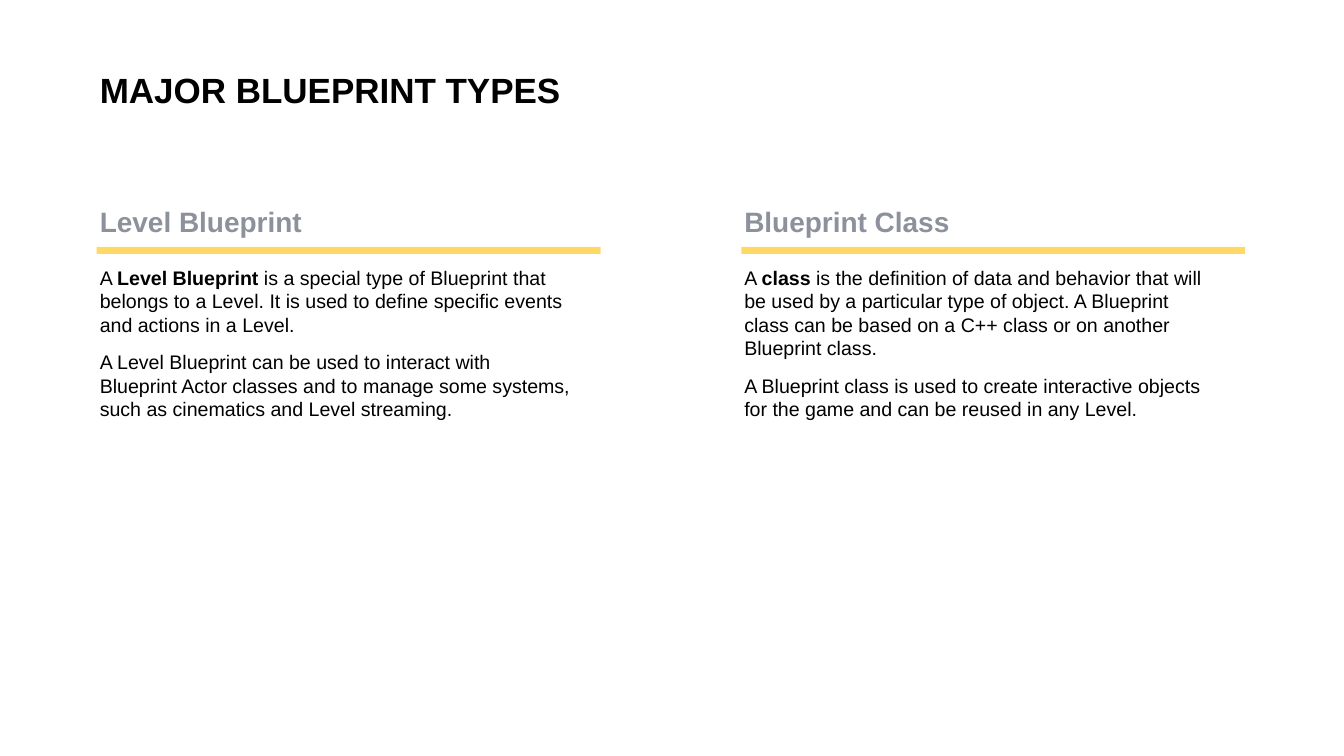
from pptx import Presentation
from pptx.dml.color import RGBColor
from pptx.enum import shapes, text
from pptx.util import Inches, Pt

FONT = "Arial"
BLACK, GRAY, GOLD = "000000", "8C919B", "FFD966"
LEFT, STEP = 1.92, 12.79
TOPICS = [
    ("Level Blueprint", 4.16, 3.22, [
        [("A ", False), ("Level Blueprint", True),
         (" is a special type of Blueprint that belongs to a Level. It is used to "
          "define specific events and actions in a Level.", False)],
        [("A Level Blueprint can be used to interact with Blueprint Actor classes and "
          "to manage some systems, such as cinematics and Level streaming.", False)],
    ]),
    ("Blueprint Class", 4.23, 3.69, [
        [("A ", False), ("class", True),
         (" is the definition of data and behavior that will be used by a particular "
          "type of object. A Blueprint class can be based on a C++ class or on another "
          "Blueprint class.", False)],
        [("A Blueprint class is used to create interactive objects for the game and "
          "can be reused in any Level.", False)],
    ]),
]


def color(code):
    """Turn a hex string into a colour."""
    return RGBColor.from_string(code)


def write(box, paras, size=28, ink=BLACK, gap=0, wrap=True):
    """Fill a box with paragraphs made of (text, bold) runs."""
    frame = box.text_frame
    frame.auto_size = text.MSO_AUTO_SIZE.NONE
    frame.word_wrap = wrap
    frame.vertical_anchor = text.MSO_ANCHOR.TOP
    frame.margin_left = frame.margin_right = Inches(0.06)
    frame.margin_top = frame.margin_bottom = Inches(0.06)
    for i, runs in enumerate(paras):
        para = frame.add_paragraph() if i else frame.paragraphs[0]
        para.alignment = text.PP_ALIGN.LEFT
        para.space_before = Pt(gap if i else 0)
        for words, bold in runs:
            run = para.add_run()
            run.text = words
            font = run.font
            font.name, font.size, font.bold = FONT, Pt(size), bold
            font.color.rgb = color(ink)


def head(slide, words):
    """Place and format the slide title."""
    box = slide.shapes.title
    box.left, box.top = Inches(LEFT), Inches(1.3)
    box.width, box.height = Inches(9.35), Inches(0.95)
    write(box, [[(words, True)]], size=50, wrap=False)


def label(slide, x, y, w, h, paras, **style):
    """Add a text box."""
    box = slide.shapes.add_textbox(Inches(x), Inches(y), Inches(w), Inches(h))
    write(box, paras, **style)


def rule(slide, x, y):
    """Add a thick gold bar."""
    bar = slide.shapes.add_shape(shapes.MSO_SHAPE.RECTANGLE, Inches(x), Inches(y),
                                 Inches(10), Inches(0.14))
    bar.shadow.inherit = False
    bar.fill.solid()
    bar.fill.fore_color.rgb = color(GOLD)
    bar.line.fill.background()


def topic(slide, x, name, width, height, paras):
    """Add a column of heading, bar and body text."""
    label(slide, x, 4, width, 0.79, [[(name, True)]], size=40, ink=GRAY, wrap=False)
    rule(slide, x, 4.9)
    label(slide, x, 5.21, 9.5, height, paras, gap=20)


def main():
    """Build and save the slide."""
    deck = Presentation()
    deck.slide_width, deck.slide_height = Inches(26.67), Inches(15)
    slide = deck.slides.add_slide(deck.slide_layouts[5])
    head(slide, "MAJOR BLUEPRINT TYPES")
    for i, item in enumerate(TOPICS):
        topic(slide, LEFT + i * STEP, *item)
    deck.save("out.pptx")


if __name__ == "__main__":
    main()
